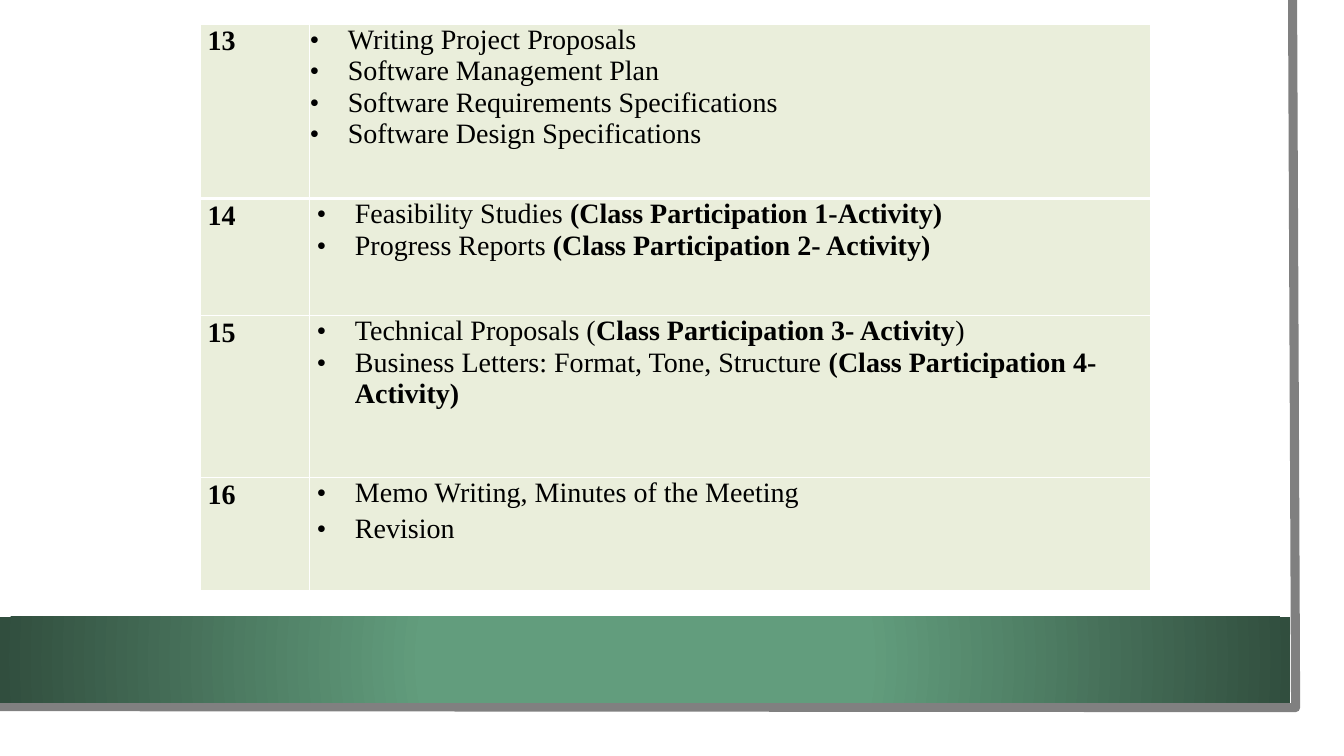
"""Build the course schedule slide for weeks 13 to 16."""
from lxml.etree import SubElement as Sub
from pptx import Presentation
from pptx.dml.color import RGBColor as Rgb
from pptx.enum.shapes import MSO_SHAPE as Kind
from pptx.oxml.ns import qn
from pptx.util import Inches, Pt

WIDE, HIGH = 13.33, 7.5
HUES = {"paper": "FFFFFF", "edge": "808080", "mid": "629D7D",
        "dark": "314E3E", "cell": "EAEEDB", "ink": "000000"}
FONT = {"name": "Times New Roman", "size": Pt(20)}
COLS = (1.08, 8.34)
LEFT, TOP = 1.99, 0.24
RULE, THICK = 1, 3
HANG = 0.38
WEEKS = [
    {"week": "13", "high": 1.73, "lead": 23.3, "inset": 0, "gap": 0.3, "items": [
        [("Writing Project Proposals", False)],
        [("Software Management Plan", False)],
        [("Software Requirements Specifications", False)],
        [("Software Design Specifications", False)]]},
    {"week": "14", "high": 1.16, "lead": 23.4, "inset": 0.07, "gap": 0.8, "items": [
        [("Feasibility Studies ", False), ("(Class Participation 1-Activity)", True)],
        [("Progress Reports ", False), ("(Class Participation 2- Activity)", True)]]},
    {"week": "15", "high": 1.61, "lead": 23.4, "inset": 0.07, "gap": 0.8, "items": [
        [("Technical Proposals (", False), ("Class Participation 3- Activity", True),
         (")", False)],
        [("Business Letters: Format, Tone, Structure ", False),
         ("(Class Participation 4- Activity)", True)]]},
    {"week": "16", "high": 1.12, "lead": 23.4, "inset": 0.07, "gap": 0.8, "last": 3.6,
     "items": [
        [("Memo Writing, Minutes of the Meeting", False)],
        [("Revision", False)]]},
]


def hue(name):
    return Rgb.from_string(HUES[name])


def add_rect(slide, *box):
    rect = slide.shapes.add_shape(Kind.RECTANGLE, *map(Inches, box))
    rect.shadow.inherit = False
    rect.line.fill.background()
    return rect


def add_frame(slide):
    paper = add_rect(slide, 0, 0, 13.1, 7.27)
    paper.fill.solid()
    paper.fill.fore_color.rgb = hue("paper")

    pen = slide.shapes.build_freeform(Inches(12.82), 0)
    pen.add_line_segments([(Inches(12.85), Inches(7.02)),
                           (Inches(-0.03), Inches(7.01))], close=False)
    edge = pen.convert_to_shape()
    edge.shadow.inherit = False
    edge.fill.background()
    edge.line.color.rgb = hue("edge")
    edge.line.width = Pt(6.5)

    band = add_rect(slide, 0, 6.12, 12.8, 0.85)
    band.fill.gradient()
    for stop, (spot, name) in zip(band.fill.gradient_stops, ((0.34, "mid"), (1, "dark"))):
        stop.position = spot
        stop.color.rgb = hue(name)
    grad = band._element.spPr.find(qn("a:gradFill"))
    grad.remove(grad.find(qn("a:lin")))
    ring = Sub(grad, qn("a:path"), {"path": "circle"})
    Sub(ring, qn("a:fillToRect"), dict.fromkeys("ltrb", "50000"))


def style_cell(cell, row):
    props = cell._tc.get_or_add_tcPr()
    thick = {0: "B", 1: "T"}.get(row)
    for side in "LRTB":
        width = THICK if side == thick else RULE
        line = Sub(props, qn(f"a:ln{side}"), {"w": str(Pt(width))})
        Sub(Sub(line, qn("a:solidFill")), qn("a:srgbClr"), {"val": HUES["paper"]})
    cell.fill.solid()
    cell.fill.fore_color.rgb = hue("cell")
    for side in ("left", "right", "top", "bottom"):
        setattr(cell, f"margin_{side}", 0)


def indent(para, left, hang=0):
    props = para._p.get_or_add_pPr()
    props.set("marL", str(Inches(left)))
    props.set("indent", str(Inches(-hang)))
    if hang:
        Sub(props, qn("a:buFont"), {"typeface": FONT["name"]})
        Sub(props, qn("a:buChar"), {"char": "•"})


def add_runs(para, runs):
    for text, bold in runs:
        run = para.add_run()
        run.text = text
        for key, value in {**FONT, "bold": bold}.items():
            setattr(run.font, key, value)
        run.font.color.rgb = hue("ink")


def fill_week(cell, week):
    para = cell.text_frame.paragraphs[0]
    indent(para, 0.07)
    para.line_spacing = Pt(week["lead"])
    add_runs(para, [(week["week"], True)])


def fill_items(cell, week):
    frame = cell.text_frame
    for spot, runs in enumerate(week["items"]):
        para = frame.add_paragraph() if spot else frame.paragraphs[0]
        indent(para, HANG + week["inset"], HANG)
        if spot:
            para.space_before = Pt(week.get("last", week["gap"]))
        add_runs(para, runs)


def add_plan(slide):
    tall = sum(week["high"] for week in WEEKS)
    box = map(Inches, (LEFT, TOP, sum(COLS), tall))
    plan = slide.shapes.add_table(len(WEEKS), len(COLS), *box).table
    plan.first_row = plan.horz_banding = False
    for col, width in zip(plan.columns, COLS):
        col.width = Inches(width)
    for row, week in enumerate(WEEKS):
        plan.rows[row].height = Inches(week["high"])
        for col, fill in enumerate((fill_week, fill_items)):
            cell = plan.cell(row, col)
            style_cell(cell, row)
            fill(cell, week)


def main():
    deck = Presentation()
    deck.slide_width, deck.slide_height = Inches(WIDE), Inches(HIGH)
    slide = deck.slides.add_slide(deck.slide_layouts[6])
    add_frame(slide)
    add_plan(slide)
    deck.save("out.pptx")


if __name__ == "__main__":
    main()
